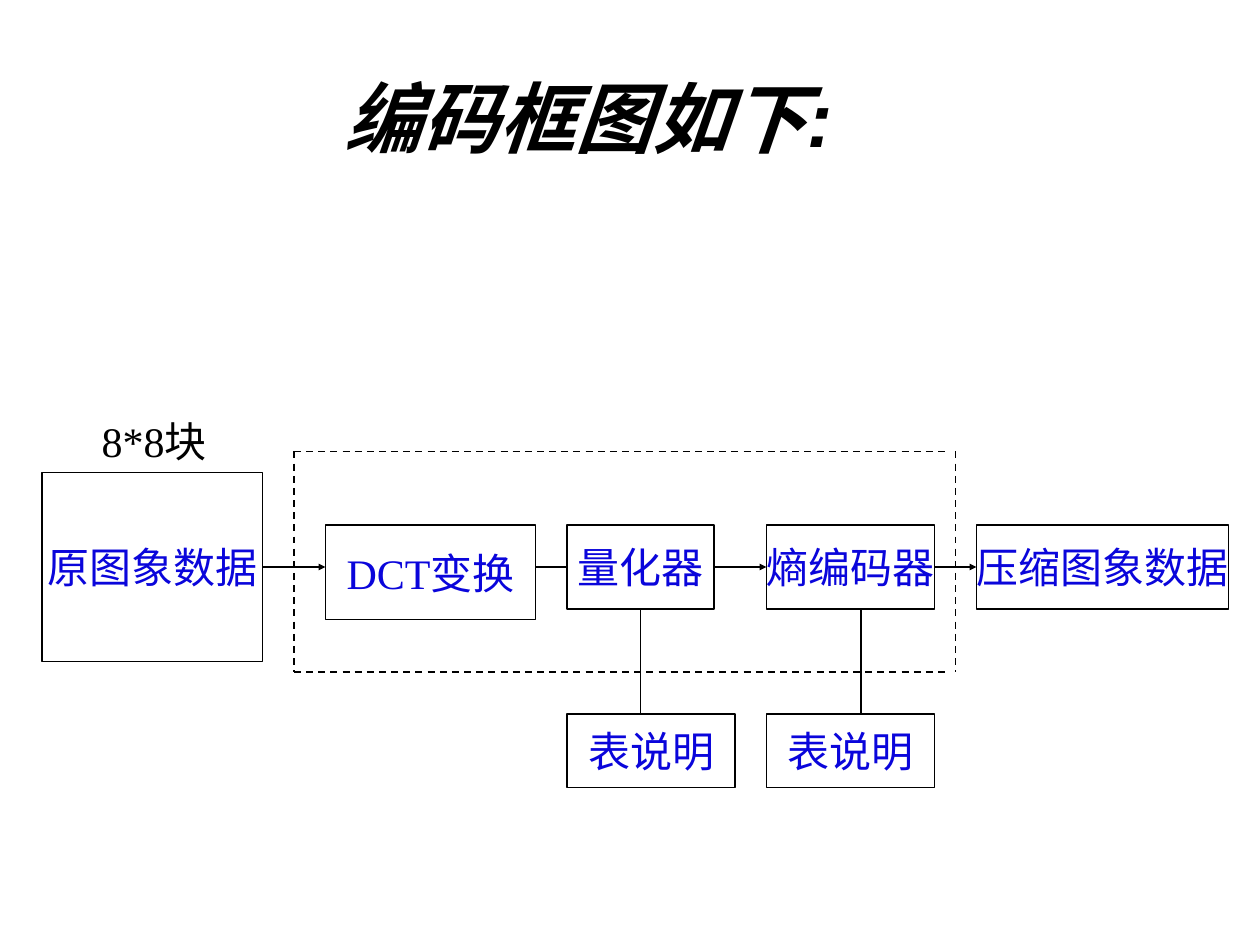
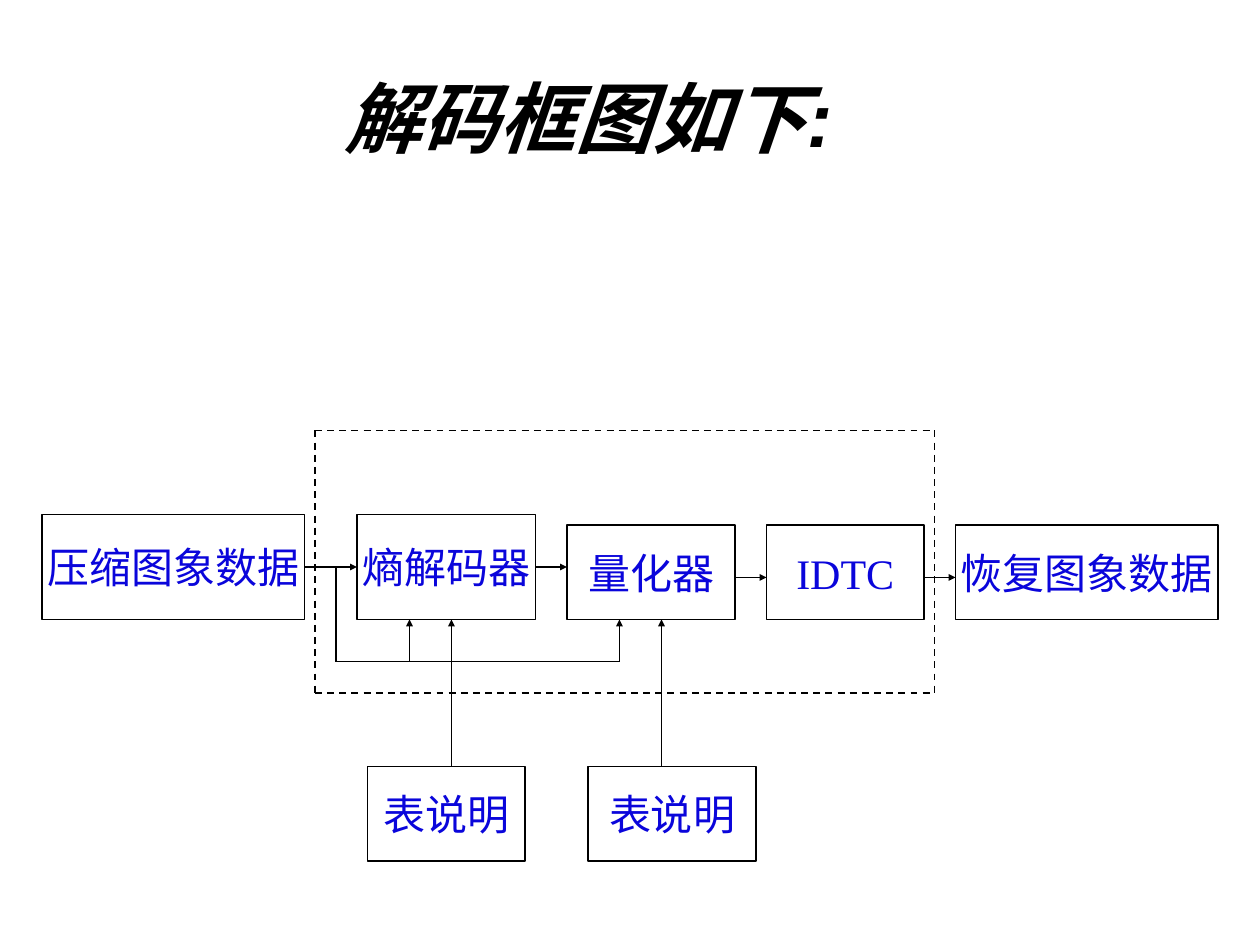
from lxml import etree
from pptx import Presentation
from pptx.dml.color import RGBColor
from pptx.enum import dml, shapes, text
from pptx.oxml import ns
from pptx.util import Inches, Pt

THEME = {
    "black": RGBColor(0x00, 0x00, 0x00),
    "white": RGBColor(0xFF, 0xFF, 0xFF),
    "blue": RGBColor(0x0A, 0x05, 0xDB),
    "line": Pt(1),
    "arrow": {"type": "triangle", "w": "sm", "len": "sm"},
    "title": {"name": "Arial", "size": Pt(44), "bold": True, "italic": True},
    "body": {"name": "Times New Roman", "size": Pt(24)},
}

# Diagram places are in grid steps, twelve to the inch.
# boxes: name -> (label, left, top, width, height)
# flows: (from box, to box, y, arrow); tables: (table box, fed box, x, arrow)
# frame and wires: (x1, y1, x2, y2[, arrow]); captions: (label, left, top, width, height)
DIAGRAMS = [
    {
        "title": "编码框图如下:",
        "boxes": {
            "source": ("原图象数据", 4, 45, 21, 18),
            "dct": ("DCT变换", 31, 50, 20, 9),
            "quantizer": ("量化器", 54, 50, 14, 8),
            "entropy": ("熵编码器", 73, 50, 16, 8),
            "result": ("压缩图象数据", 93, 50, 24, 8),
            "quant_table": ("表说明", 54, 68, 16, 7),
            "entropy_table": ("表说明", 73, 68, 16, 7),
        },
        "flows": [
            ("source", "dct", 54, True),
            ("dct", "quantizer", 54, False),
            ("quantizer", "entropy", 54, True),
            ("entropy", "result", 54, True),
        ],
        "tables": [
            ("quant_table", "quantizer", 61, False),
            ("entropy_table", "entropy", 82, False),
        ],
        "frame": [
            (28, 43, 90, 43), (28, 64, 90, 64),
            (28, 43, 28, 64), (91, 43, 91, 64),
        ],
        "wires": [],
        "captions": [("8*8块", 8.5, 39, 16, 6)],
    },
    {
        "title": "解码框图如下:",
        "boxes": {
            "source": ("压缩图象数据", 4, 49, 25, 10),
            "entropy": ("熵解码器", 34, 49, 17, 10),
            "quantizer": ("量化器", 54, 50, 16, 9),
            "idct": ("IDTC", 73, 50, 15, 9),
            "result": ("恢复图象数据", 91, 50, 25, 9),
            "entropy_table": ("表说明", 35, 73, 15, 9),
            "quant_table": ("表说明", 56, 73, 16, 9),
        },
        "flows": [
            ("source", "entropy", 54, True),
            ("entropy", "quantizer", 54, True),
            ("quantizer", "idct", 55, True),
            ("idct", "result", 55, True),
        ],
        "tables": [
            ("entropy_table", "entropy", 43, True),
            ("quant_table", "quantizer", 63, True),
        ],
        "frame": [
            (30, 41, 89, 41), (30, 66, 89, 66),
            (30, 41, 30, 66), (89, 41, 89, 66),
        ],
        "wires": [
            (32, 54, 32, 63, False), (32, 63, 59, 63, False),
            (39, 63, 39, 59, True), (59, 63, 59, 59, True),
        ],
        "captions": [],
    },
]


def grid(*steps):
    """Turn grid steps into lengths."""
    return [Inches(step / 12) for step in steps]


def write(tf, label, font, color, align, anchor):
    tf.text = label
    tf.vertical_anchor = anchor
    p = tf.paragraphs[0]
    p.alignment = align
    r = p.runs[0]
    for key, value in font.items():
        setattr(r.font, key, value)
    r.font.color.rgb = color


def add_title(s, label):
    sp = s.shapes.title
    sp.left, sp.top, sp.width, sp.height = map(Inches, (0.5, 0.3, 8.34, 1.25))
    write(sp.text_frame, label, THEME["title"], THEME["black"],
          text.PP_ALIGN.CENTER, text.MSO_ANCHOR.MIDDLE)
    sp.text_frame.auto_size = text.MSO_AUTO_SIZE.NONE


def add_box(s, label, *place):
    sp = s.shapes.add_shape(shapes.MSO_SHAPE.RECTANGLE, *grid(*place))
    sp.shadow.inherit = False
    sp.fill.solid()
    sp.fill.fore_color.rgb = THEME["white"]
    sp.line.color.rgb = THEME["black"]
    sp.line.width = THEME["line"]
    sp.text_frame.word_wrap = False
    write(sp.text_frame, label, THEME["body"], THEME["blue"],
          text.PP_ALIGN.CENTER, text.MSO_ANCHOR.MIDDLE)


def add_caption(s, label, *place):
    tf = s.shapes.add_textbox(*grid(*place)).text_frame
    tf.word_wrap = True
    write(tf, label, THEME["body"], THEME["black"],
          text.PP_ALIGN.LEFT, text.MSO_ANCHOR.TOP)


def add_line(s, x1, y1, x2, y2, arrow=False, dashed=False):
    line = s.shapes.add_connector(shapes.MSO_CONNECTOR.STRAIGHT, *grid(x1, y1, x2, y2))
    line.line.color.rgb = THEME["black"]
    line.line.width = THEME["line"]
    if dashed:
        line.line.dash_style = dml.MSO_LINE.DASH
    sp_pr = line._element.spPr
    if arrow:
        etree.SubElement(sp_pr.find(ns.qn("a:ln")), ns.qn("a:tailEnd"), THEME["arrow"])
    etree.SubElement(sp_pr, ns.qn("a:effectLst"))


def add_diagram(s, diagram):
    boxes = diagram["boxes"]
    for box in boxes.values():
        add_box(s, *box)
    for start, end, y, arrow in diagram["flows"]:
        _, left, _, width, _ = boxes[start]
        add_line(s, left + width, y, boxes[end][1], y, arrow)
    for table, fed, x, arrow in diagram["tables"]:
        _, _, top, _, height = boxes[fed]
        add_line(s, x, boxes[table][2], x, top + height, arrow)
    for wire in diagram["wires"]:
        add_line(s, *wire)
    for side in diagram["frame"]:
        add_line(s, *side, dashed=True)
    for caption in diagram["captions"]:
        add_caption(s, *caption)


def main():
    prs = Presentation()
    prs.slide_width, prs.slide_height = Inches(10), Inches(7.5)
    for diagram in DIAGRAMS:
        s = prs.slides.add_slide(prs.slide_layouts[5])
        add_title(s, diagram["title"])
        add_diagram(s, diagram)
    prs.save("out.pptx")


if __name__ == "__main__":
    main()
